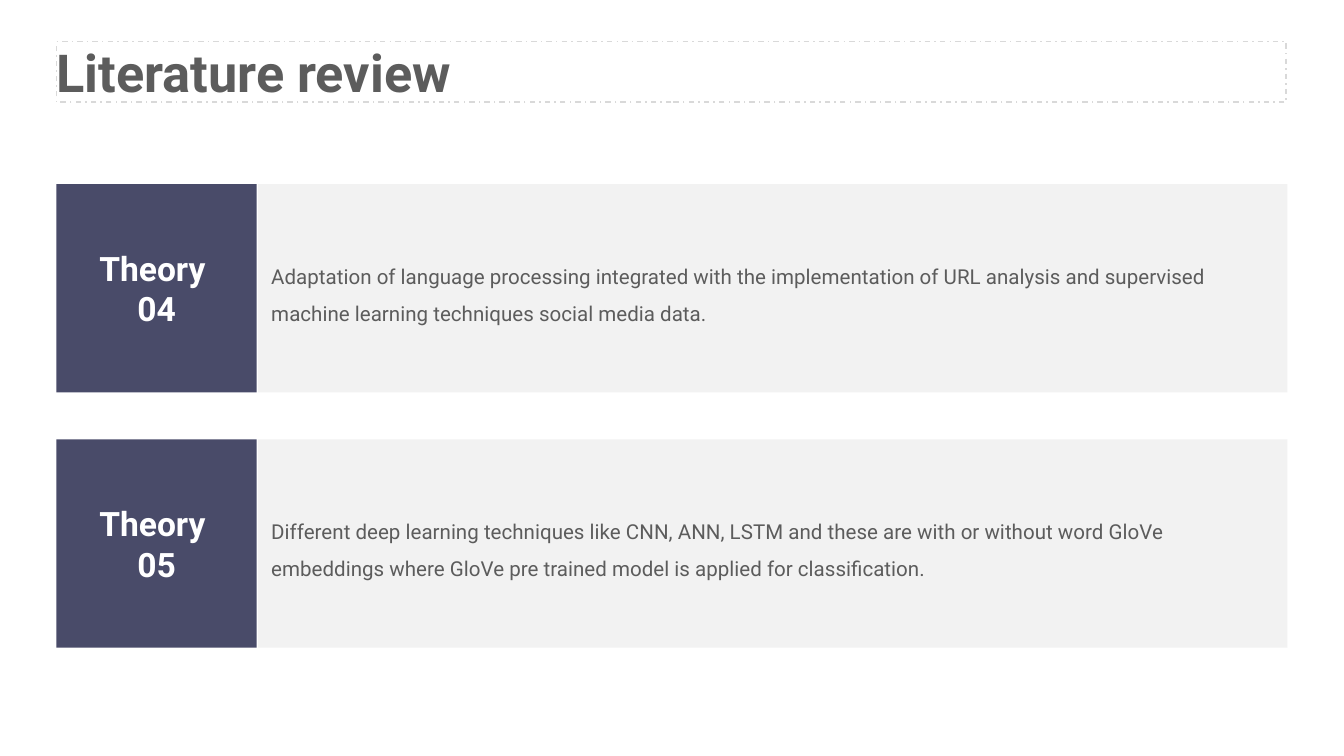
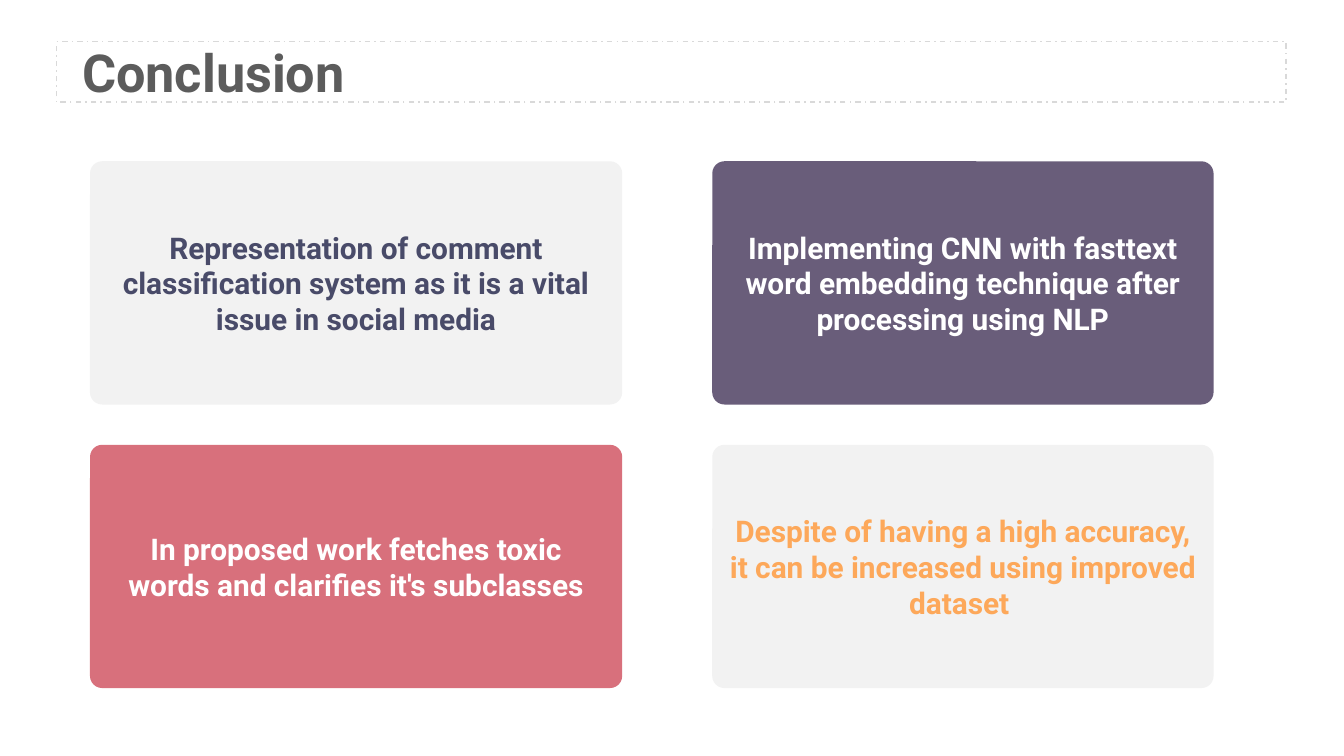
from pptx import Presentation
from pptx.dml.color import RGBColor
from pptx.enum.dml import MSO_LINE
from pptx.enum.shapes import MSO_SHAPE as Shape
from pptx.enum.text import MSO_ANCHOR as Anchor, MSO_AUTO_SIZE as AutoSize, PP_ALIGN as Align
from pptx.util import Inches, Pt

FONT = "Roboto"
GREY, PALE, RULE, WHITE = "5C5C5C", "F2F2F2", "D9D9D9", "FFFFFF"
NAVY, PURPLE, ROSE, ORANGE = "494B69", "695D7A", "D8707C", "FDA85A"
TITLE_ONLY = 5

THEORIES = [
    ("04", "Adaptation of language processing integrated with the implementation of URL analysis "
           "and supervised machine learning techniques social media data."),
    ("05", "Different deep learning techniques like CNN, ANN, LSTM and these are with or without "
           "word GloVe embeddings where GloVe pre trained model is applied for classification."),
]

# Row by row: text, fill, text colour
CONCLUSIONS = [
    [("Representation of comment classification system as it is a vital issue in social media",
      PALE, NAVY),
     ("Implementing CNN with fasttext word embedding technique after processing using NLP",
      PURPLE, WHITE)],
    [("In proposed work fetches toxic words and clarifies it's subclasses", ROSE, WHITE),
     ("Despite of having a high accuracy, it can be increased using improved dataset ",
      PALE, ORANGE)],
]


def rgb(value):
    return RGBColor.from_string(value)


def write(frame, text, size, color, bold=True, align=Align.CENTER, spacing=1.0):
    frame.text = text
    frame.word_wrap = True
    frame.vertical_anchor = Anchor.MIDDLE
    for paragraph in frame.paragraphs:
        paragraph.alignment = align
        paragraph.line_spacing = spacing
        for run in paragraph.runs:
            run.font.name = FONT
            run.font.size = Pt(size)
            run.font.bold = bold
            run.font.color.rgb = rgb(color)


def add_titled_slide(deck, heading, indent=0):
    slide = deck.slides.add_slide(deck.slide_layouts[TITLE_ONLY])
    title = slide.shapes.title
    title.left, title.top = Inches(0.42), Inches(0.31)
    title.width, title.height = Inches(9.15), Inches(0.45)
    title.line.color.rgb = rgb(RULE)
    title.line.width = Pt(0.75)
    title.line.dash_style = MSO_LINE.DASH_DOT
    frame = title.text_frame
    frame.auto_size = AutoSize.NONE
    frame.margin_left = Inches(indent)
    frame.margin_top = frame.margin_right = frame.margin_bottom = 0
    write(frame, heading, 28, GREY, align=Align.LEFT)
    return slide


def add_panel(slide, kind, left, top, width, height, fill):
    panel = slide.shapes.add_shape(kind, Inches(left), Inches(top), Inches(width), Inches(height))
    panel.shadow.inherit = False
    panel.fill.solid()
    panel.fill.fore_color.rgb = rgb(fill)
    panel.line.fill.background()
    return panel


def add_theory(slide, top, number, summary):
    height = 1.55
    label = add_panel(slide, Shape.RECTANGLE, 0.42, top, 1.49, height, NAVY)
    write(label.text_frame, f"Theory \v{number}", 18, WHITE)
    body = add_panel(slide, Shape.RECTANGLE, 1.92, top, 7.66, height, PALE)
    write(body.text_frame, summary, 11, GREY, bold=False, align=Align.LEFT, spacing=1.5)


def add_card(slide, left, top, width, text, fill, color):
    card = add_panel(slide, Shape.ROUNDED_RECTANGLE, left, top, width, 1.81, fill)
    card.adjustments[0] = 0.05
    write(card.text_frame, text, 16, color)


def build_literature_review(deck):
    slide = add_titled_slide(deck, "Literature review")
    for row, (number, summary) in enumerate(THEORIES):
        add_theory(slide, 1.37 + row * 1.9, number, summary)


def build_conclusion(deck):
    slide = add_titled_slide(deck, "Conclusion", indent=0.19)
    columns = [(0.67, 3.96), (5.3, 3.73)]
    for row, cards in enumerate(CONCLUSIONS):
        for (left, width), (text, fill, color) in zip(columns, cards):
            add_card(slide, left, 1.2 + row * 2.11, width, text, fill, color)


def main():
    deck = Presentation()
    deck.slide_width = Inches(10)
    deck.slide_height = deck.slide_width * 9 // 16
    build_literature_review(deck)
    build_conclusion(deck)
    deck.save("out.pptx")


if __name__ == "__main__":
    main()
